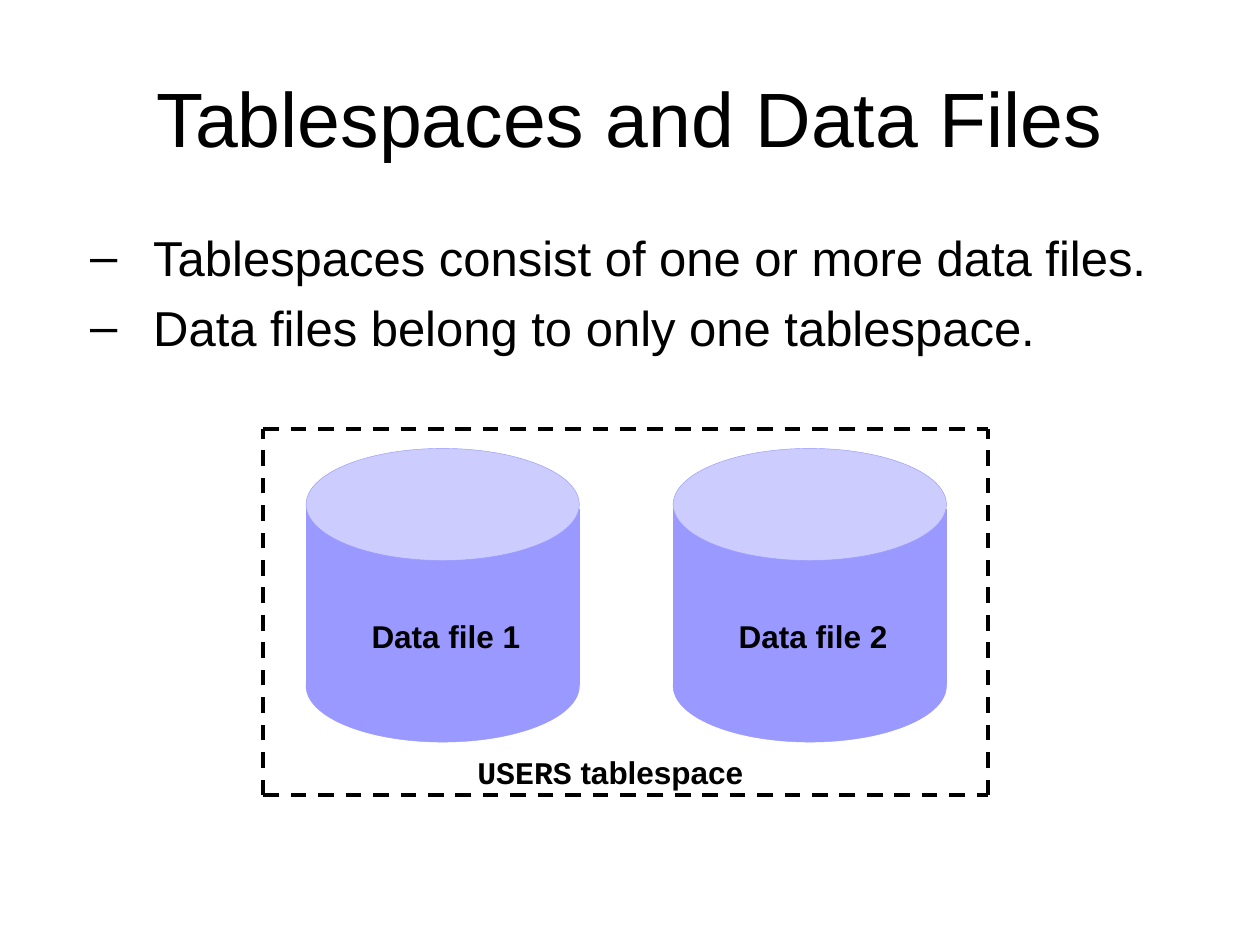
import pptx
import pptx.dml.color
import pptx.enum.dml
import pptx.enum.shapes
import pptx.enum.text
import pptx.oxml.ns
import pptx.util
from lxml import etree

Cm = pptx.util.Cm
Pt = pptx.util.Pt
Shape = pptx.enum.shapes.MSO_SHAPE
Align = pptx.enum.text.PP_ALIGN
Anchor = pptx.enum.text.MSO_ANCHOR
qn = pptx.oxml.ns.qn

BLACK = pptx.dml.color.RGBColor(0x00, 0x00, 0x00)
VIOLET = pptx.dml.color.RGBColor(0x99, 0x99, 0xFF)
LAVENDER = pptx.dml.color.RGBColor(0xCC, 0xCC, 0xFF)


class SlideWriter:
    sans = "Arial"
    mono = "Courier New"
    label_inset = (0.16, 0.08)

    def __init__(self, slide):
        self.shapes = slide.shapes

    def text(self, box, paragraphs, size, bold=False, align=Align.LEFT,
             inset=(0.25, 0.13), anchor=Anchor.TOP):
        """Each paragraph is a list of (wording, font name) pairs."""
        frame = self.shapes.add_textbox(*map(Cm, box)).text_frame
        frame.word_wrap = True
        frame.vertical_anchor = anchor
        frame.margin_left = frame.margin_right = Cm(inset[0])
        frame.margin_top = frame.margin_bottom = Cm(inset[1])
        for index, pieces in enumerate(paragraphs):
            paragraph = frame.add_paragraph() if index else frame.paragraphs[0]
            paragraph.alignment = align
            for wording, font_name in pieces:
                run = paragraph.add_run()
                run.text = wording
                run.font.name = font_name
                run.font.size = Pt(size)
                run.font.bold = bold
                run.font.color.rgb = BLACK
        return frame

    def bullets(self, box, points, size):
        frame = self.text(box, [[(point, self.sans)] for point in points], size)
        for paragraph in frame.paragraphs:
            paragraph.space_before = Pt(6.5)
            properties = paragraph._p.get_or_add_pPr()
            properties.set("marL", str(Cm(1.57)))
            properties.set("indent", str(Cm(-1.27)))
            etree.SubElement(properties, qn("a:buFont"), typeface=self.sans)
            etree.SubElement(properties, qn("a:buChar"), char="–")

    def label(self, box, pieces):
        frame = self.text(box, [pieces], 18, True, Align.CENTER, self.label_inset)
        frame.paragraphs[0].line_spacing = 0.85

    def solid(self, kind, box, fill):
        shape = self.shapes.add_shape(kind, *map(Cm, box))
        shape.shadow.inherit = False
        shape.fill.solid()
        shape.fill.fore_color.rgb = fill
        shape.line.color.rgb = VIOLET
        shape.line.width = Pt(0.25)

    def cylinder(self, left, top, width, side_height, cap_height):
        side_top = top + 1.22
        self.solid(Shape.RECTANGLE, (left, side_top, width, side_height), VIOLET)
        for cap_top, fill in ((top, LAVENDER), (top + 3.66, VIOLET)):
            self.solid(Shape.OVAL, (left, cap_top, width, cap_height), fill)

    def dashed_line(self, start, end):
        line = self.shapes.add_connector(
            pptx.enum.shapes.MSO_CONNECTOR.STRAIGHT, *map(Cm, start + end))
        line.line.color.rgb = BLACK
        line.line.width = Pt(2.25)
        line.line.dash_style = pptx.enum.dml.MSO_LINE.DASH
        etree.SubElement(line._element.spPr, qn("a:effectLst"))


deck = pptx.Presentation()
deck.slide_width, deck.slide_height = Cm(25.4), Cm(19.05)
writer = SlideWriter(deck.slides.add_slide(deck.slide_layouts[6]))

# Title and statements
writer.text((1.27, 0.76, 22.86, 3.18),
            [[("Tablespaces and Data Files", writer.sans)]],
            44, align=Align.CENTER, anchor=Anchor.MIDDLE)
writer.bullets((1.27, 4.45, 22.86, 5.16),
               ["Tablespaces consist of one or more data files.",
                "Data files belong to only one tablespace."], 28)

# Data files
first_left, file_step = 6.17, 7.4
file_lefts = [first_left + number * file_step for number in range(2)]
for file_left in file_lefts:
    writer.cylinder(file_left, 9.04, 5.51, 3.53, 2.26)

# Tablespace border
left, top, right, bottom = 5.31, 8.64, 19.91, 16.03
for y in (bottom, top):
    writer.dashed_line((left, y), (right, y))
for x in (left, right):
    writer.dashed_line((x, bottom), (x, top))

# Labels
writer.label((8.71, 15.21, 7.19, 0.81),
             [("USERS", writer.mono), (" tablespace", writer.sans)])
for number, file_left in enumerate(file_lefts, 1):
    writer.label((file_left + 0.79, 12.47, 4.06, 0.81),
                 [(f"Data file {number}", writer.sans)])

deck.save("out.pptx")
